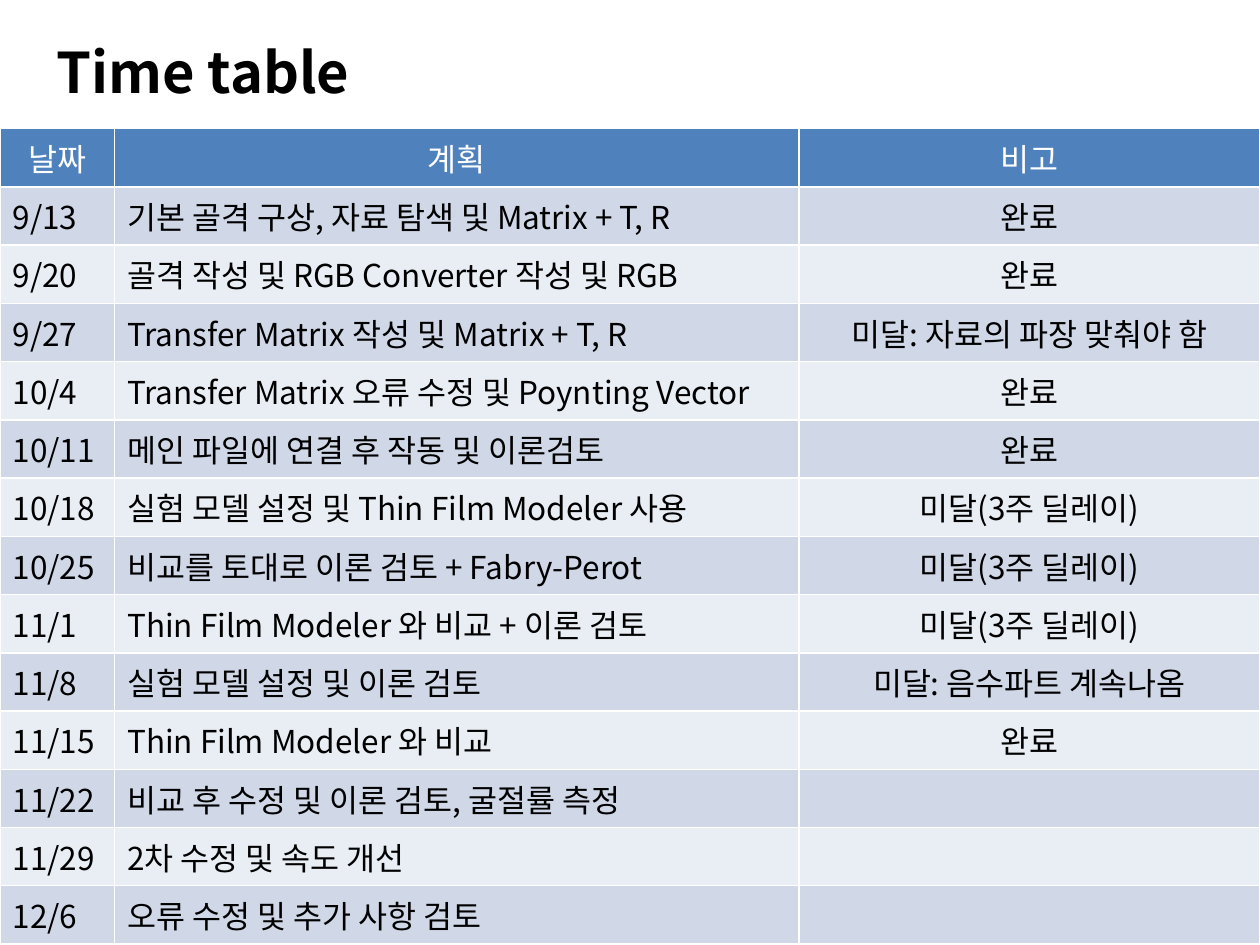
from lxml import etree
from pptx import Presentation
from pptx.dml.color import RGBColor
from pptx.enum.text import MSO_ANCHOR, PP_ALIGN
from pptx.oxml.ns import qn
from pptx.util import Pt

LEFT, CENTER = PP_ALIGN.LEFT, PP_ALIGN.CENTER
BOTTOM = MSO_ANCHOR.BOTTOM
FONT = "Noto Sans CJK KR"
WHITE, BLACK = "FFFFFF", "000000"
HEADER_FILL = "4F81BD"
BAND_FILLS = ("D0D8E8", "E9EDF4")

COL_WIDTHS = (65.5, 391, 263.5)
ALIGNS = (LEFT, LEFT, CENTER)
HEADER = ("날짜", "계획", "비고")
DONE = "완료"
DELAYED = "미달(3주 딜레이)"
SCHEDULE = [
    ("9/13", "기본 골격 구상, 자료 탐색 및 Matrix + T, R", DONE),
    ("9/20", "골격 작성 및 RGB Converter 작성 및 RGB", DONE),
    ("9/27", "Transfer Matrix 작성 및 Matrix + T, R", "미달: 자료의 파장 맞춰야 함"),
    ("10/4", "Transfer Matrix 오류 수정 및 Poynting Vector", DONE),
    ("10/11", "메인 파일에 연결 후 작동 및 이론검토", DONE),
    ("10/18", "실험 모델 설정 및 Thin Film Modeler 사용", DELAYED),
    ("10/25", "비교를 토대로 이론 검토 + Fabry-Perot", DELAYED),
    ("11/1", "Thin Film Modeler 와 비교 + 이론 검토", DELAYED),
    ("11/8", "실험 모델 설정 및 이론 검토", "미달: 음수파트 계속나옴"),
    ("11/15", "Thin Film Modeler 와 비교", DONE),
    ("11/22", "비교 후 수정 및 이론 검토, 굴절률 측정", ""),
    ("11/29", "2차 수정 및 속도 개선", ""),
    ("12/6", "오류 수정 및 추가 사항 검토", ""),
]


def rgb(value):
    return RGBColor.from_string(value)


def write(tf, text, size=18, color=BLACK, bold=False, align=LEFT):
    p = tf.paragraphs[0]
    p.alignment = align
    r = p.add_run()
    r.text = text
    r.font.size = Pt(size)
    r.font.bold = bold
    r.font.color.rgb = rgb(color)
    r.font.name = FONT
    etree.SubElement(r.font._element, qn("a:ea"), typeface=FONT)


def set_borders(cell, color=WHITE, width=1):
    tcPr = cell._tc.get_or_add_tcPr()
    for side in ("lnL", "lnR", "lnT", "lnB"):
        ln = etree.SubElement(tcPr, qn(f"a:{side}"), w=str(Pt(width)))
        fill = etree.SubElement(ln, qn("a:solidFill"))
        etree.SubElement(fill, qn("a:srgbClr"), val=color)


def add_title(s, text, x, y, w, h):
    tf = s.shapes.add_textbox(Pt(x), Pt(y), Pt(w), Pt(h)).text_frame
    tf.word_wrap = True
    tf.vertical_anchor = BOTTOM
    tf.margin_left = tf.margin_right = tf.margin_top = 0
    tf.margin_bottom = Pt(4)
    write(tf, text, size=32, bold=True, align=CENTER)


def add_schedule(s, x, y, w, h):
    rows = [HEADER] + SCHEDULE
    table = s.shapes.add_table(len(rows), len(HEADER),
                               Pt(x), Pt(y), Pt(w), Pt(h)).table
    for col, width in zip(table.columns, COL_WIDTHS):
        col.width = Pt(width)
    for i, values in enumerate(rows):
        table.rows[i].height = Pt(h / len(rows))
        is_header = i == 0
        fill = HEADER_FILL if is_header else BAND_FILLS[(i - 1) % 2]
        for j, text in enumerate(values):
            cell = table.cell(i, j)
            set_borders(cell)
            cell.fill.solid()
            cell.fill.fore_color.rgb = rgb(fill)
            write(cell.text_frame, text,
                  color=WHITE if is_header else BLACK,
                  align=CENTER if is_header else ALIGNS[j])


def main():
    prs = Presentation()
    prs.slide_width, prs.slide_height = Pt(720), Pt(540)
    s = prs.slides.add_slide(prs.slide_layouts[6])
    add_title(s, "Time table", 20, 15, 192, 49)
    add_schedule(s, 0, 73.5, 720, 466.2)
    prs.save("out.pptx")


if __name__ == "__main__":
    main()
